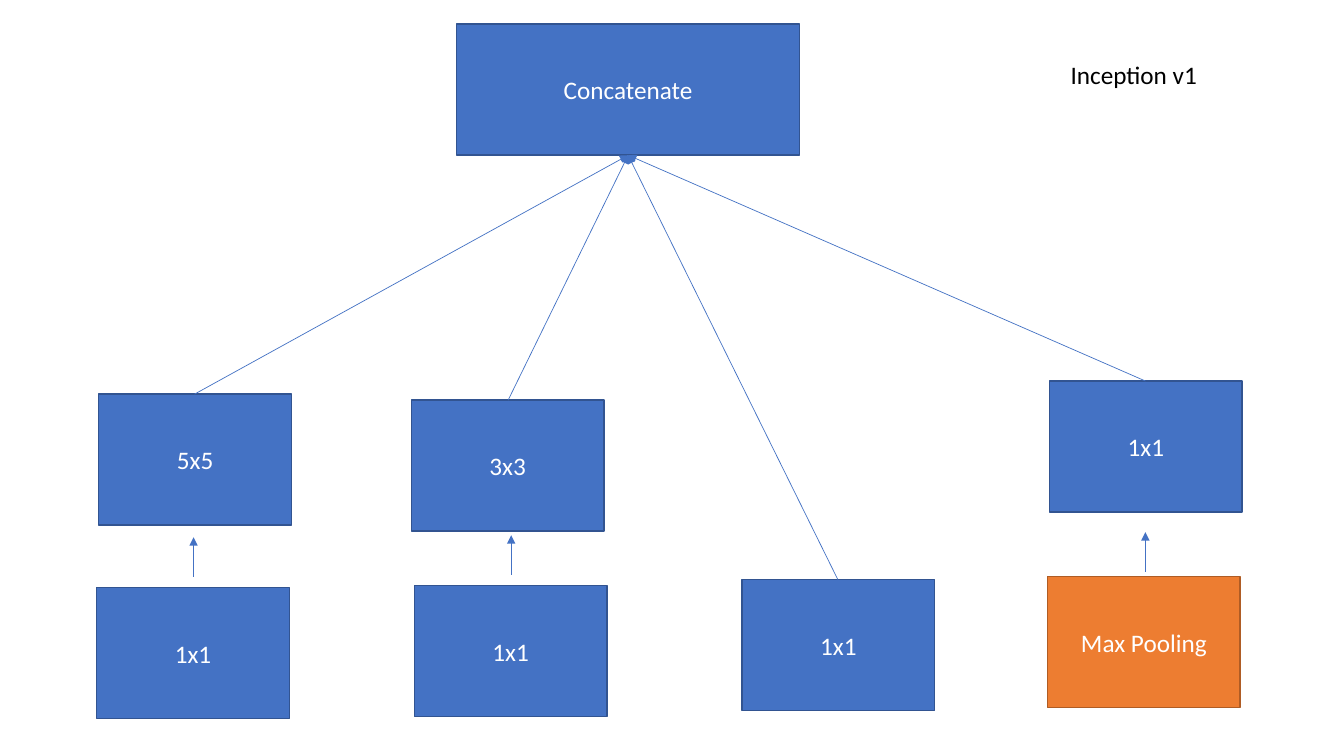
from lxml import etree
from pptx import Presentation
from pptx import util as u
from pptx.dml.color import RGBColor
from pptx.enum import shapes, text
from pptx.oxml import ns

BLUE, BLUE_EDGE = "4472C4", "325491"
ORANGE, ORANGE_EDGE = "ED7D31", "AF5C24"
WHITE, BLACK = "FFFFFF", "000000"
BLOCK_WIDTH, BLOCK_HEIGHT = 1.91, 1.3
ARROW_LENGTH = 0.39


def color(value):
    return RGBColor.from_string(value)


class Diagram:
    font = "Calibri"
    size = 18

    def __init__(self, slide):
        self.slide = slide

    def caption(self, frame, words, ink):
        frame.text = words
        font = frame.paragraphs[0].runs[0].font
        font.name = self.font
        font.size = u.Pt(self.size)
        font.color.rgb = color(ink)

    def block(self, words, left, top, width=BLOCK_WIDTH, fill=BLUE, edge=BLUE_EDGE):
        block = self.slide.shapes.add_shape(
            shapes.MSO_SHAPE.RECTANGLE,
            u.Inches(left), u.Inches(top), u.Inches(width), u.Inches(BLOCK_HEIGHT))
        block.shadow.inherit = False
        block.fill.solid()
        block.fill.fore_color.rgb = color(fill)
        block.line.color.rgb = color(edge)
        block.line.width = u.Pt(1)
        self.caption(block.text_frame, words, WHITE)
        block.text_frame.vertical_anchor = text.MSO_ANCHOR.MIDDLE
        block.text_frame.paragraphs[0].alignment = text.PP_ALIGN.CENTER

    def arrow(self, start, end):
        arrow = self.slide.shapes.add_connector(
            shapes.MSO_CONNECTOR.STRAIGHT,
            *(u.Inches(value) for value in (*start, *end)))
        arrow.line.color.rgb = color(BLUE)
        arrow.line.width = u.Pt(0.5)
        properties = arrow._element.spPr
        outline = properties.find(ns.qn("a:ln"))
        etree.SubElement(outline, ns.qn("a:tailEnd"), type="triangle")
        etree.SubElement(properties, ns.qn("a:effectLst"))

    def label(self, words, left, top, width, height):
        label = self.slide.shapes.add_textbox(
            u.Inches(left), u.Inches(top), u.Inches(width), u.Inches(height))
        label.text_frame.word_wrap = False
        label.text_frame.auto_size = text.MSO_AUTO_SIZE.SHAPE_TO_FIT_TEXT
        self.caption(label.text_frame, words, BLACK)


def main():
    deck = Presentation()
    deck.slide_width, deck.slide_height = u.Inches(13.33), u.Inches(7.5)
    diagram = Diagram(deck.slides.add_slide(deck.slide_layouts[6]))

    concat_left, concat_top, concat_width = 4.53, 0.24, 3.4
    merge = (concat_left + concat_width / 2, concat_top + BLOCK_HEIGHT)

    for words, left, top in (("1x1", 0.96, 5.83), ("1x1", 4.11, 5.81), ("1x1", 7.36, 5.75)):
        diagram.block(words, left, top)
    diagram.block("Max Pooling", 10.39, 5.72, fill=ORANGE, edge=ORANGE_EDGE)
    for words, left, top in (("5x5", 0.98, 3.91), ("3x3", 4.08, 3.97), ("1x1", 10.41, 3.78)):
        diagram.block(words, left, top)
    diagram.block("Concatenate", concat_left, concat_top, concat_width)

    for x, y in ((1.92, 5.72), (5.07, 5.7), (11.36, 5.67)):
        diagram.arrow((x, y), (x, y - ARROW_LENGTH))
    for branch in ((8.31, 5.75), (5.04, 3.97), (1.93, 3.91), (11.36, 3.78)):
        diagram.arrow(branch, merge)

    diagram.label("Inception v1", 10.52, 0.54, 1.47, 0.4)
    deck.save("out.pptx")


if __name__ == "__main__":
    main()
